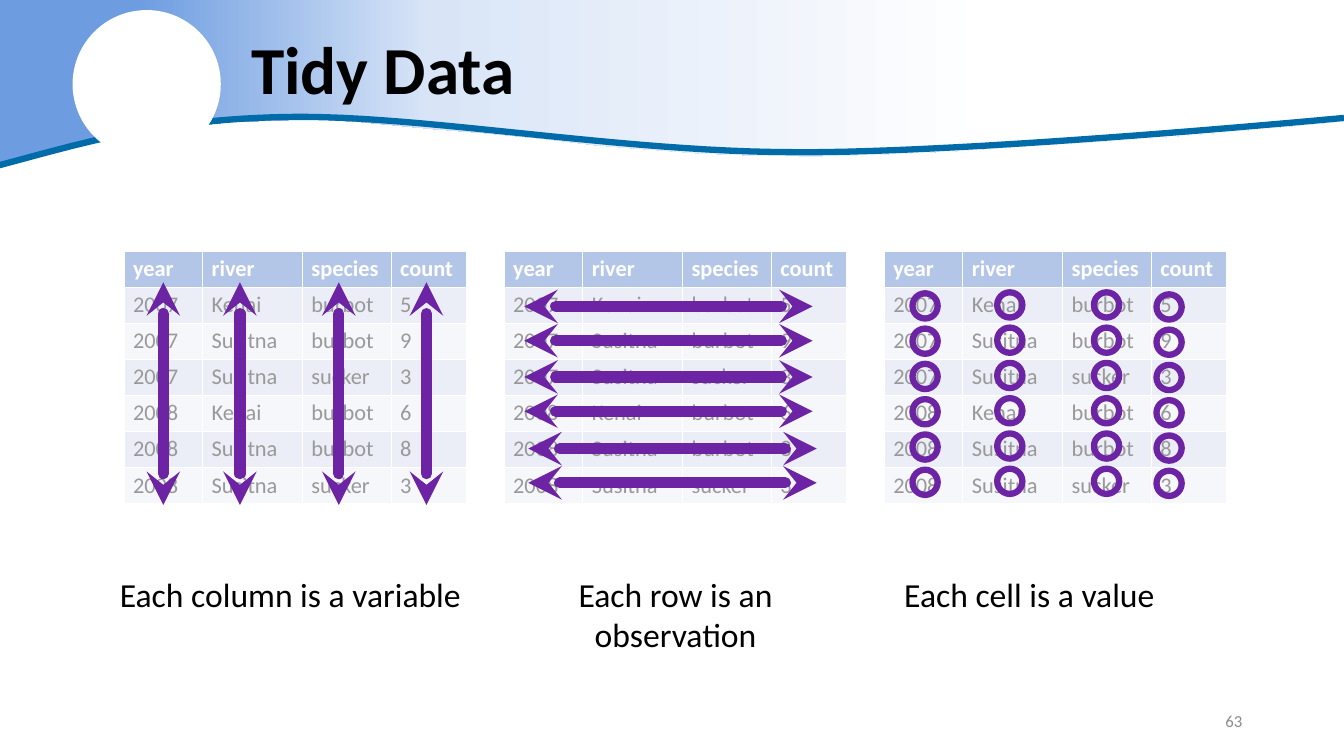
"""Build the Tidy Data slide: three tables marked by column, row and cell."""
from copy import deepcopy
from pptx import Presentation
from pptx.dml.color import RGBColor
from pptx.enum.shapes import MSO_CONNECTOR, MSO_SHAPE
from pptx.enum.text import MSO_ANCHOR, MSO_AUTO_SIZE, PP_ALIGN
from pptx.oxml.ns import qn
from pptx.util import Inches, Pt
from lxml import etree

LINE = MSO_CONNECTOR.STRAIGHT
OVAL, RECT = MSO_SHAPE.OVAL, MSO_SHAPE.RECTANGLE
MIDDLE, TOP = MSO_ANCHOR.MIDDLE, MSO_ANCHOR.TOP
LEFT, CENTER, RIGHT = PP_ALIGN.LEFT, PP_ALIGN.CENTER, PP_ALIGN.RIGHT
GROW, FIXED = MSO_AUTO_SIZE.SHAPE_TO_FIT_TEXT, MSO_AUTO_SIZE.NONE

WHITE = RGBColor(0xFF, 0xFF, 0xFF)
BLACK = RGBColor(0x00, 0x00, 0x00)
GRAY = RGBColor(0x8C, 0x8C, 0x8C)
SKY = RGBColor(0x6D, 0x9C, 0xE1)
PALE = RGBColor(0xD9, 0xE5, 0xF7)
WAVE = RGBColor(0x00, 0x6B, 0xA9)
HEAD = RGBColor(0x44, 0x72, 0xC4)
BANDS = (RGBColor(0xE9, 0xEB, 0xF5), RGBColor(0xCF, 0xD5, 0xEA))
PURPLE = RGBColor(0x6D, 0x24, 0xA4)

ROWS = [
    ("year", "river", "species", "count"),
    ("2007", "Kenai", "burbot", "5"),
    ("2007", "Susitna", "burbot", "9"),
    ("2007", "Susitna", "sucker", "3"),
    ("2008", "Kenai", "burbot", "6"),
    ("2008", "Susitna", "burbot", "8"),
    ("2008", "Susitna", "sucker", "3"),
]
WIDTHS = (0.78, 0.99, 0.88, 0.75)
EDGE = [
    (13.34, 0), (13.34, 1.2), (12.38, 1.29), (11.56, 1.36), (10.81, 1.41),
    (10.13, 1.45), (9.46, 1.5), (8.76, 1.53), (8.08, 1.55), (7.42, 1.54),
    (6.92, 1.52), (6.4, 1.48), (5.91, 1.44), (5.43, 1.38), (4.81, 1.32),
    (4.3, 1.28), (3.58, 1.21), (3.26, 1.19), (2.88, 1.19), (2.28, 1.21),
    (1.59, 1.29), (1.13, 1.36), (0.64, 1.46), (0.19, 1.58), (0, 1.65),
]
CURVES = [
    ((-0.01, 1.64), (0.75, 1.44), (1.55, 1.18), (2.87, 1.16)),
    ((2.87, 1.16), (4.19, 1.14), (6.15, 1.51), (7.9, 1.51)),
    ((7.9, 1.51), (9.64, 1.52), (13.33, 1.17), (13.33, 1.17)),
]


def write(frame, text, size, color, align, bold=False):
    para = frame.paragraphs[0]
    para.alignment = align
    run = para.add_run()
    run.text = text
    font = run.font
    font.name, font.size, font.bold = "Calibri", Pt(size), bold
    font.color.rgb = color
    return para


def arrow(shapes, x1, y1, x2, y2):
    line = shapes.add_connector(LINE, Inches(x1), Inches(y1), Inches(x2), Inches(y2))
    line.line.color.rgb = PURPLE
    line.line.width = Pt(8)
    props = line.element.spPr
    stroke = props.find(qn("a:ln"))
    stroke.set("cap", "rnd")
    for end in ("a:headEnd", "a:tailEnd"):
        etree.SubElement(stroke, qn(end), type="stealth")
    etree.SubElement(props, qn("a:effectLst"))


deck = Presentation()
deck.slide_width, deck.slide_height = Inches(13.33), Inches(7.5)
slide = deck.slides.add_slide(deck.slide_layouts[5])
shapes = slide.shapes

pen = shapes.build_freeform(0, 0)
pen.add_line_segments([(Inches(x), Inches(y)) for x, y in EDGE])
banner = pen.convert_to_shape()
banner.shadow.inherit = False
banner.line.fill.background()
banner.fill.gradient()
banner.fill.gradient_angle = 0
stops = banner.element.spPr.find(".//" + qn("a:gsLst"))
stops.append(deepcopy(stops[0]))
shades = ((0.1, SKY), (0.32, PALE), (0.74, WHITE))
for stop, (place, shade) in zip(banner.fill.gradient_stops, shades):
    stop.position = place
    stop.color.rgb = shade

points = []
for curve in CURVES:
    for step in range(1, 25):
        t = step / 24
        parts = ((1 - t) ** 3, 3 * t * (1 - t) ** 2, 3 * t * t * (1 - t), t ** 3)
        x, y = (sum(p * q[axis] for p, q in zip(parts, curve)) for axis in (0, 1))
        points.append((Inches(x), Inches(y)))
pen = shapes.build_freeform(Inches(-0.01), Inches(1.64))
pen.add_line_segments(points, close=False)
wave = pen.convert_to_shape()
wave.shadow.inherit = False
wave.fill.background()
wave.line.color.rgb = WAVE
wave.line.width = Pt(4.5)

disc = shapes.add_shape(OVAL, Inches(0.72), Inches(0.1), Inches(1.47), Inches(1.47))
disc.shadow.inherit = False
disc.fill.solid()
disc.fill.fore_color.rgb = WHITE
disc.line.fill.background()

title = shapes.title
title.left, title.top = Inches(2.39), Inches(0)
title.width, title.height = Inches(10.95), Inches(1.45)
title.text_frame.vertical_anchor = MIDDLE
write(title.text_frame, "Tidy Data", 48, BLACK, LEFT, True).line_spacing = 0.9
title.element.getparent().append(title.element)

for left in (1.23, 5, 8.77):
    grid = shapes.add_table(7, 4, Inches(left), Inches(2.49), Inches(3.4), Inches(2.51)).table
    for col, width in zip(grid.columns, WIDTHS):
        col.width = Inches(width)
    for i, row in enumerate(ROWS):
        for j, text in enumerate(row):
            cell = grid.cell(i, j)
            cell.margin_left = cell.margin_right = Inches(0.09)
            cell.margin_top = cell.margin_bottom = Inches(0.04)
            cell.fill.solid()
            cell.fill.fore_color.rgb = BANDS[i % 2] if i else HEAD
            write(cell.text_frame, text, 16, BLACK if i else WHITE, LEFT, i == 0)

veil = shapes.add_shape(RECT, Inches(0.98), Inches(2.34), Inches(11.29), Inches(2.68))
veil.shadow.inherit = False
veil.fill.solid()
veil.fill.fore_color.rgb = WHITE
veil.line.fill.background()
tint = veil.element.spPr.find(".//" + qn("a:srgbClr"))
etree.SubElement(tint, qn("a:alpha"), val="60000")

group = shapes.add_group_shape().shapes
for x in (1.62, 2.38, 3.36, 4.23):
    arrow(group, x, 2.8, x, 5.01)

group = shapes.add_group_shape().shapes
for i, y in enumerate((3.04, 3.38, 3.74, 4.08, 4.45, 4.79)):
    shift = 0.04 if i > 3 else 0
    arrow(group, 8.06 + shift, y, 5.2 + shift, y)

for i in range(6):
    group = shapes.add_group_shape().shapes
    for x, y in ((9.05, 2.91), (9.89, 2.9), (10.85, 2.9), (11.47, 2.92)):
        ring = group.add_shape(OVAL, Inches(x), Inches(y + 0.35 * i), Inches(0.25), Inches(0.25))
        ring.shadow.inherit = False
        ring.fill.background()
        ring.line.color.rgb = PURPLE
        ring.line.width = Pt(4.5)

LABELS = [
    ("Each column is a variable", 1.08, 5.64, 3.6, 0.5, 24, BLACK, CENTER, TOP, GROW),
    ("Each row is an observation", 5, 5.64, 3.4, 0.91, 24, BLACK, CENTER, TOP, GROW),
    ("Each cell is a value", 8.71, 5.64, 3, 0.5, 24, BLACK, CENTER, TOP, GROW),
    ("63", 9.42, 6.95, 3, 0.4, 12, GRAY, RIGHT, MIDDLE, FIXED),
]
for text, x, y, w, h, size, color, align, anchor, fit in LABELS:
    frame = shapes.add_textbox(Inches(x), Inches(y), Inches(w), Inches(h)).text_frame
    frame.word_wrap = True
    frame.auto_size = fit
    frame.vertical_anchor = anchor
    write(frame, text, size, color, align)

deck.save("out.pptx")
